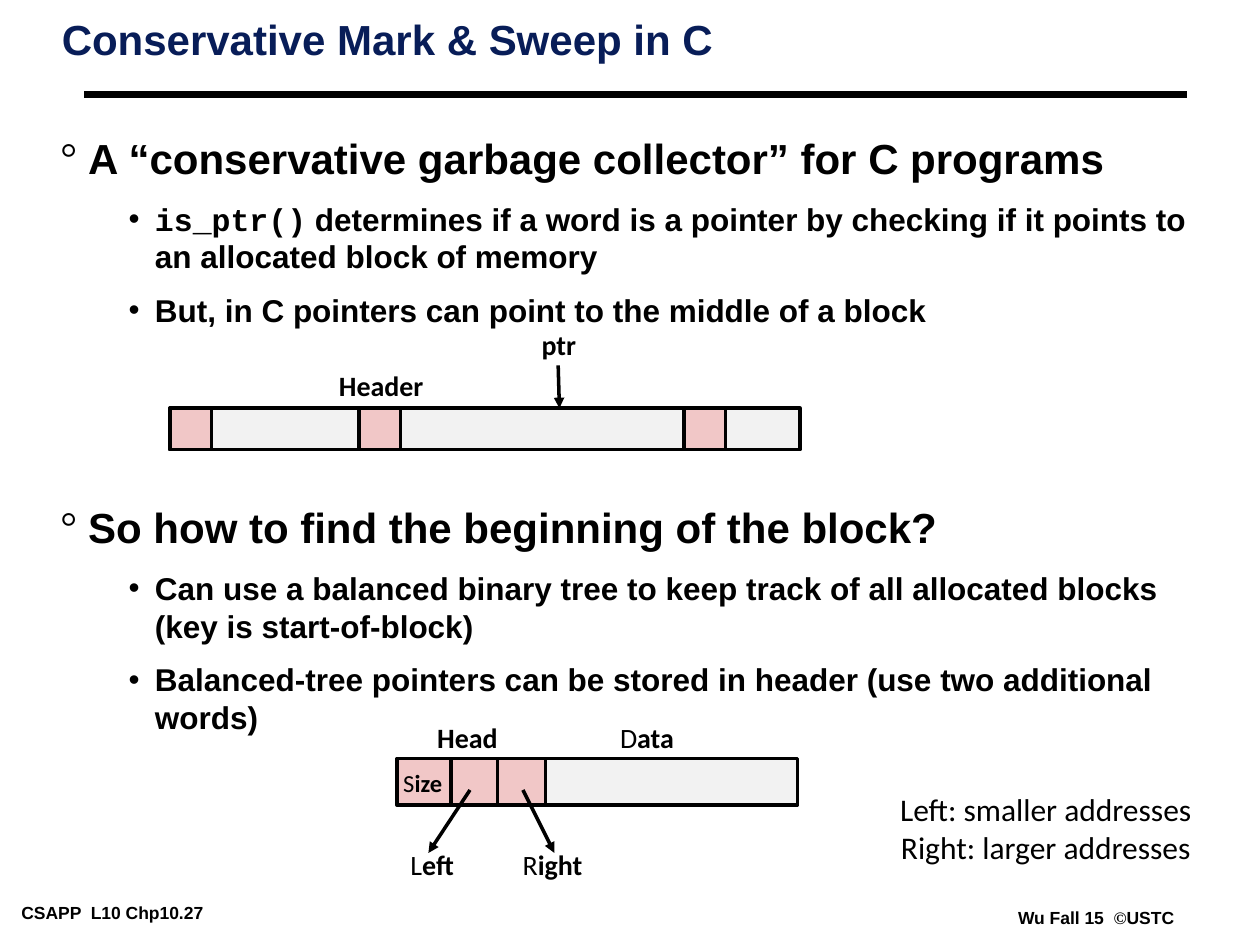
"""Build a slide on conservative mark and sweep garbage collection in C."""
from lxml.etree import SubElement
from pptx import Presentation
from pptx.dml.color import RGBColor
from pptx.enum.shapes import MSO_CONNECTOR, MSO_SHAPE
from pptx.enum.text import PP_ALIGN
from pptx.oxml.ns import qn
from pptx.util import Inches, Pt

BLACK = RGBColor(0x00, 0x00, 0x00)
NAVY = RGBColor(0x08, 0x1D, 0x58)
GRAY = RGBColor(0xF2, 0xF2, 0xF2)
PINK = RGBColor(0xF1, 0xC7, 0xC7)

deck = Presentation()
deck.slide_width, deck.slide_height = Inches(10), Inches(7.5)
page = deck.slides.add_slide(deck.slide_layouts[6])


def add_text(left, top, width, height, side, edge, wrap):
    box = page.shapes.add_textbox(Inches(left), Inches(top), Inches(width), Inches(height))
    frame = box.text_frame
    frame.word_wrap = wrap
    frame.margin_left = frame.margin_right = Inches(side)
    frame.margin_top = frame.margin_bottom = Inches(edge)
    return frame


def add_line(x1, y1, x2, y2, weight, arrow):
    line = page.shapes.add_connector(
        MSO_CONNECTOR.STRAIGHT, Inches(x1), Inches(y1), Inches(x2), Inches(y2))
    line.line.color.rgb = BLACK
    line.line.width = Pt(weight)
    properties = line._element.spPr
    if arrow:
        SubElement(properties.find(qn("a:ln")), qn("a:tailEnd"), type="triangle")
    SubElement(properties, qn("a:effectLst"))


add_line(0.67, 0.75, 9.42, 0.75, 4.5, False)

HEADINGS = [
    (0.1, 7.13, 2.1, 0.22, False, 10, BLACK, [("CSAPP  L10 Chp10.27", "Arial")]),
    (8.01, 7.17, 1.38, 0.22, False, 10, BLACK,
     [("Wu Fall 15  ", "Arial"), ("©", "Times New Roman"), ("USTC", "Arial")]),
    (0.42, 0.13, 8.75, 0.84, True, 24, NAVY, [("Conservative Mark & Sweep in C", "Arial")]),
]
for left, top, width, height, wrap, size, color, spans in HEADINGS:
    para = add_text(left, top, width, height, 0.07, 0.03, wrap).paragraphs[0]
    para.font.size, para.font.bold, para.font.color.rgb = Pt(size), True, color
    para.line_spacing = 0.87 if wrap else 1.0
    for text, font in spans:
        span = para.add_run()
        span.text, span.font.name = text, font

SECTIONS = [
    (1.05, 1.7, [
        (0, [("A “conservative garbage collector” for C programs", "Arial")]),
        (1, [("is_ptr()", "Courier New"),
             (" determines if a word is a pointer by checking if it points to "
              "an allocated block of memory", "Arial")]),
        (1, [("But, in C pointers can point to the middle of a block", "Arial")]),
    ]),
    (3.98, 1.99, [
        (0, [("So how to find the beginning of the block?", "Arial")]),
        (1, [("Can use a balanced binary tree to keep track of all allocated blocks "
              "(key is start-of-block)", "Arial")]),
        (1, [("Balanced-tree pointers can be stored in header "
              "(use two additional words)", "Arial")]),
    ]),
]
LEVELS = [
    (24, 0.95, 0, 0.22, -0.22, "°", "Times New Roman"),
    (18, 1.0, 9, 0.75, -0.21, "•", "Arial"),
]
for top, height, lines in SECTIONS:
    frame = add_text(0.41, top, 9.09, height, 0.07, 0.03, True)
    for index, (level, spans) in enumerate(lines):
        size, spacing, before, margin, indent, bullet, bullet_font = LEVELS[level]
        para = frame.add_paragraph() if index else frame.paragraphs[0]
        para.level = level
        para.line_spacing, para.space_before = spacing, Pt(before)
        properties = para._p.get_or_add_pPr()
        properties.set("marL", str(Inches(margin)))
        properties.set("indent", str(Inches(indent)))
        SubElement(properties, qn("a:buFont"), typeface=bullet_font)
        SubElement(properties, qn("a:buChar"), char=bullet)
        para.font.size, para.font.bold, para.font.color.rgb = Pt(size), True, BLACK
        for text, font in spans:
            span = para.add_run()
            span.text, span.font.name = text, font

BLOCKS = [
    (2.85, 3.24, 3.5, 0.33, GRAY),
    (2.85, 3.24, 0.33, 0.33, PINK),
    (1.35, 3.24, 1.5, 0.33, GRAY),
    (1.35, 3.24, 0.33, 0.33, PINK),
    (5.43, 3.24, 0.33, 0.33, PINK),
    (3.15, 6.02, 1.2, 0.37, PINK),
    (4.33, 6.02, 2, 0.37, GRAY),
    (3.58, 6.02, 0.37, 0.37, PINK),
]
for left, top, width, height, color in BLOCKS:
    block = page.shapes.add_shape(
        MSO_SHAPE.RECTANGLE, Inches(left), Inches(top), Inches(width), Inches(height))
    block.shadow.inherit = False
    block.fill.solid()
    block.fill.fore_color.rgb = color
    block.line.color.rgb = BLACK
    block.line.width = Pt(2)

for x1, y1, x2, y2 in [
    (4.43, 2.9, 4.44, 3.24), (4.15, 6.27, 4.4, 6.77), (3.73, 6.27, 3.4, 6.77),
]:
    add_line(x1, y1, x2, y2, 2, True)

LABELS = [
    (2.59, 2.88, 0.87, 0.37, 16, [("", "Header")]),
    (4.2, 2.55, 0.47, 0.37, 16, [("", "ptr")]),
    (3.37, 5.67, 0.68, 0.37, 16, [("", "Head")]),
    (4.82, 5.67, 0.63, 0.37, 16, [("D", "ata")]),
    (3.16, 6.68, 0.54, 0.37, 16, [("L", "eft")]),
    (4.05, 6.68, 0.67, 0.37, 16, [("R", "ight")]),
    (3.1, 6.05, 0.51, 0.34, 14, [("S", "ize")]),
    (7.04, 6.22, 2.52, 0.7, 18,
     [("Left: smaller addresses", ""), ("Right: larger addresses", "")]),
]
for left, top, width, height, size, lines in LABELS:
    frame = add_text(left, top, width, height, 0.02, 0.05, False)
    for index, parts in enumerate(lines):
        para = frame.add_paragraph() if index else frame.paragraphs[0]
        para.alignment = PP_ALIGN.CENTER
        para.font.name, para.font.size, para.font.color.rgb = "Calibri", Pt(size), BLACK
        for text, bold in zip(parts, (False, True)):
            if text:
                span = para.add_run()
                span.text, span.font.bold = text, bold

deck.save("out.pptx")
